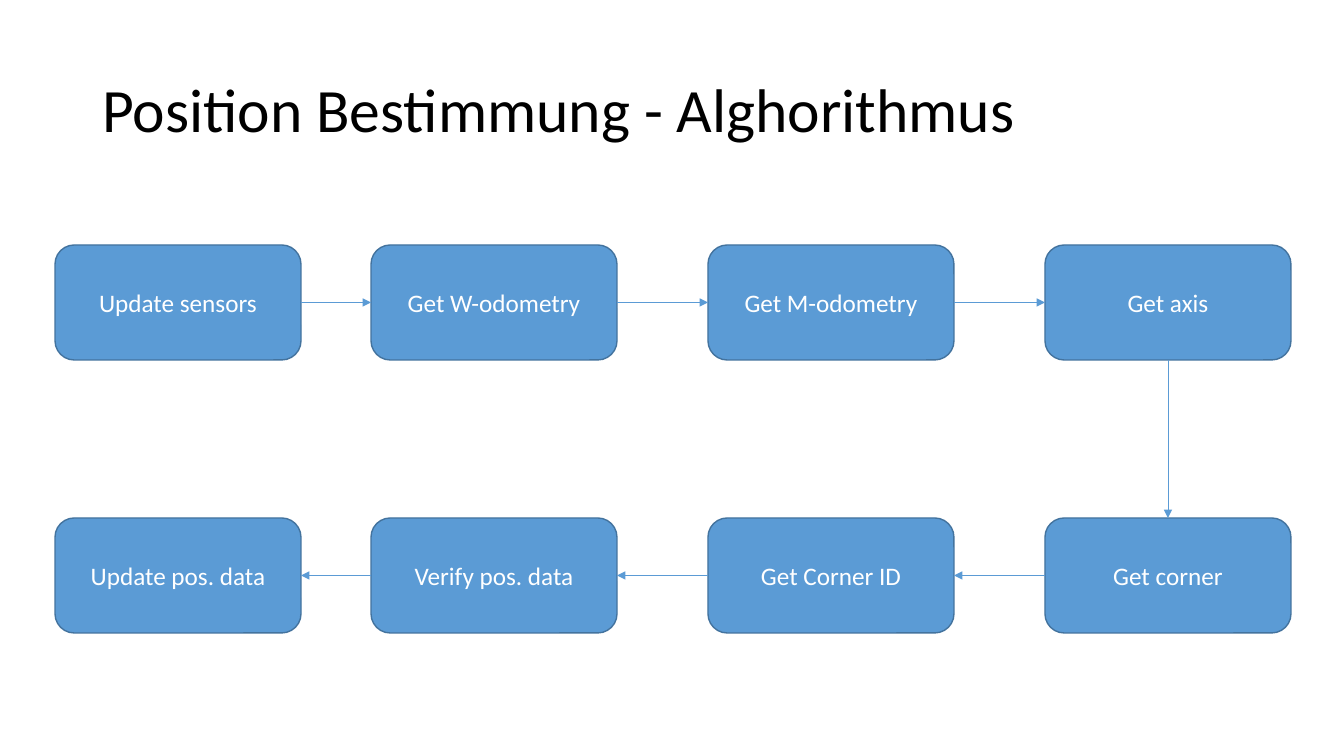
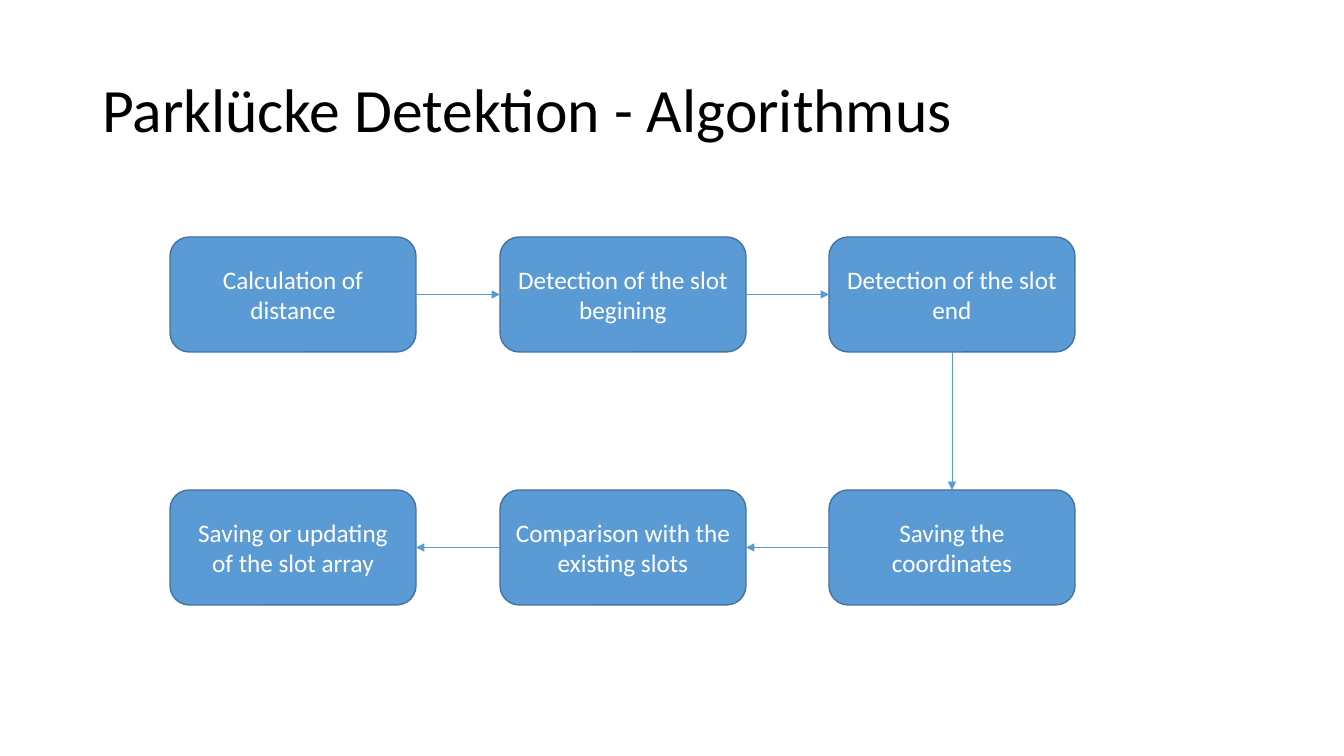
from itertools import pairwise

from lxml import etree
from pptx import Presentation
from pptx.dml.color import RGBColor
from pptx.enum.shapes import MSO_CONNECTOR, MSO_SHAPE
from pptx.enum.text import MSO_ANCHOR, MSO_AUTO_SIZE, PP_ALIGN
from pptx.oxml.ns import qn
from pptx.util import Emu, Pt

ROUNDED = MSO_SHAPE.ROUNDED_RECTANGLE
STRAIGHT = MSO_CONNECTOR.STRAIGHT
MIDDLE = MSO_ANCHOR.MIDDLE
NO_AUTOFIT = MSO_AUTO_SIZE.NONE
LEFT = PP_ALIGN.LEFT
CENTER = PP_ALIGN.CENTER

BLUE = RGBColor(0x5B, 0x9B, 0xD5)
DARK_BLUE = RGBColor(0x43, 0x73, 0x9E)
WHITE = RGBColor(0xFF, 0xFF, 0xFF)
BLACK = RGBColor(0x00, 0x00, 0x00)

SCALE = 914400 / 100.8
PAGE_SIZE = (1344, 756)
TITLE_AREA = (92, 40, 1160, 146)
STEP_SIZE = (246, 115)
TITLE_ONLY = 5
TOP_SITE, LEFT_SITE, BOTTOM_SITE, RIGHT_SITE = range(4)

TITLE_FONT = {"name": "Calibri", "size": Pt(44)}
STEP_FONT = {"name": "Calibri", "size": Pt(18)}
TITLE_FRAME = {"vertical_anchor": MIDDLE, "word_wrap": True, "auto_size": NO_AUTOFIT}
STEP_FRAME = {"vertical_anchor": MIDDLE, "word_wrap": True}
TITLE_PARA = {"alignment": LEFT, "line_spacing": 0.9}
STEP_PARA = {"alignment": CENTER}

FLOWS = [
    {
        "title": "Position Bestimmung - Alghorithmus",
        "columns": (55, 371, 708, 1045),
        "rows": (245, 518),
        "steps": ("Update sensors", "Get W-odometry", "Get M-odometry", "Get axis",
                  "Get corner", "Get Corner ID", "Verify pos. data", "Update pos. data"),
    },
    {
        "title": "Parklücke Detektion - Algorithmus",
        "columns": (170, 500, 829),
        "rows": (237, 490),
        "steps": ("Calculation of distance", "Detection of the slot begining",
                  "Detection of the slot end", "Saving the coordinates",
                  "Comparison with the existing slots",
                  "Saving or updating of the slot array"),
    },
]


def px(value):
    return Emu(round(value * SCALE))


def apply(target, values):
    for name, value in values.items():
        setattr(target, name, value)


def place(shape, area):
    apply(shape, dict(zip(("left", "top", "width", "height"), map(px, area))))


def write(shape, text, frame_format, para_format, font_format, color):
    frame = shape.text_frame
    apply(frame, frame_format)
    para = frame.paragraphs[0]
    apply(para, para_format)
    span = para.add_run()
    span.text = text
    apply(span.font, font_format)
    span.font.color.rgb = color


def style_line(shape, color, width):
    shape.line.color.rgb = color
    shape.line.width = Pt(width)


def add_step(page, left, top, text):
    box = page.shapes.add_shape(ROUNDED, *map(px, (left, top, *STEP_SIZE)))
    box.shadow.inherit = False
    box.fill.solid()
    box.fill.fore_color.rgb = BLUE
    style_line(box, DARK_BLUE, 1)
    write(box, text, STEP_FRAME, STEP_PARA, STEP_FONT, WHITE)
    return box


def add_arrow(page, start, end):
    if start.left == end.left:
        sites = BOTTOM_SITE, TOP_SITE
    elif start.left < end.left:
        sites = RIGHT_SITE, LEFT_SITE
    else:
        sites = LEFT_SITE, RIGHT_SITE
    arrow = page.shapes.add_connector(STRAIGHT, 0, 0, 0, 0)
    arrow.begin_connect(start, sites[0])
    arrow.end_connect(end, sites[1])
    style_line(arrow, BLUE, 0.5)
    etree.SubElement(arrow.line._get_or_add_ln(), qn("a:tailEnd"), type="triangle")
    etree.SubElement(arrow._element.spPr, qn("a:effectLst"))


def add_flow(deck, title, columns, rows, steps):
    page = deck.slides.add_slide(deck.slide_layouts[TITLE_ONLY])
    write(page.shapes.title, title, TITLE_FRAME, TITLE_PARA, TITLE_FONT, BLACK)
    upper, lower = rows
    spots = [(left, upper) for left in columns]
    spots += [(left, lower) for left in reversed(columns)]
    boxes = [add_step(page, *spot, text) for spot, text in zip(spots, steps)]
    for start, end in pairwise(boxes):
        add_arrow(page, start, end)


def main():
    deck = Presentation()
    deck.slide_width, deck.slide_height = map(px, PAGE_SIZE)
    place(deck.slide_layouts[TITLE_ONLY].placeholders[0], TITLE_AREA)
    for flow in FLOWS:
        add_flow(deck, **flow)
    deck.save("out.pptx")


main()
